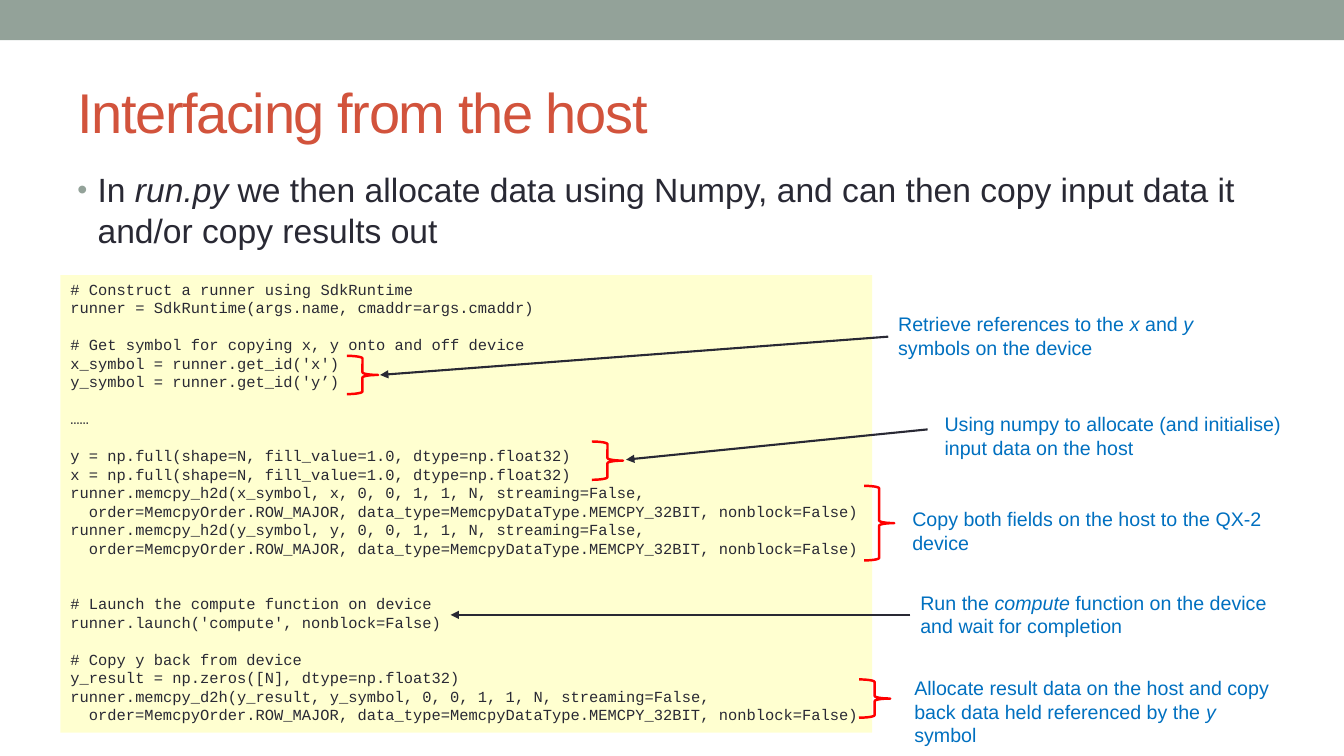
from pptx import Presentation
from pptx.dml.color import RGBColor
from pptx.enum.shapes import MSO_CONNECTOR as Connector, MSO_SHAPE as Shape
from pptx.enum.text import MSO_ANCHOR as Anchor, PP_ALIGN as Align
from pptx.oxml import parse_xml
from pptx.oxml.ns import nsdecls, qn
from pptx.util import Pt

PX = 9144  # EMU per px, 100 px to the inch
LINE_PITCH = 1.2

SAGE = RGBColor(0x93, 0xA2, 0x99)
RUST = RGBColor(0xD2, 0x53, 0x3C)
INK = RGBColor(0x29, 0x29, 0x34)
YELLOW = RGBColor(0xFF, 0xFF, 0x66)
BLUE = RGBColor(0x00, 0x70, 0xC0)
RED = RGBColor(0xFF, 0x00, 0x00)

# Each block is (blank lines before it, its lines).
CODE_BLOCKS = [
    (0, ["# Construct a runner using SdkRuntime",
         "runner = SdkRuntime(args.name, cmaddr=args.cmaddr)"]),
    (1, ["# Get symbol for copying x, y onto and off device",
         "x_symbol = runner.get_id('x')",
         "y_symbol = runner.get_id('y’)"]),
    (1, ["……"]),
    (1, ["y = np.full(shape=N, fill_value=1.0, dtype=np.float32)",
         "x = np.full(shape=N, fill_value=1.0, dtype=np.float32)",
         "runner.memcpy_h2d(x_symbol, x, 0, 0, 1, 1, N, streaming=False,",
         "order=MemcpyOrder.ROW_MAJOR, data_type=MemcpyDataType.MEMCPY_32BIT, nonblock=False)",
         "runner.memcpy_h2d(y_symbol, y, 0, 0, 1, 1, N, streaming=False,",
         "order=MemcpyOrder.ROW_MAJOR, data_type=MemcpyDataType.MEMCPY_32BIT, nonblock=False)"]),
    (2, ["# Launch the compute function on device",
         "runner.launch('compute', nonblock=False)"]),
    (1, ["# Copy y back from device",
         "y_result = np.zeros([N], dtype=np.float32)",
         "runner.memcpy_d2h(y_result, y_symbol, 0, 0, 1, 1, N, streaming=False,",
         "order=MemcpyOrder.ROW_MAJOR, data_type=MemcpyDataType.MEMCPY_32BIT, nonblock=False)"]),
]

# Places are px from the top left of the code panel; *stars* mark italics.
ANNOTATIONS = [
    dict(note="Retrieve references to the *x* and *y* symbols on the device",
         at=(821, 32), brace=(284, 80, 31, 38), arrow=((821, 61), (317, 99))),
    dict(note="Using numpy to allocate (and initialise) input data on the host",
         at=(867, 131), brace=(527, 165, 31, 38), arrow=((860, 153), (561, 183))),
    dict(note="Copy both fields on the host to the QX-2 device",
         at=(835, 225), brace=(797, 209, 30, 74)),
    dict(note="Run the *compute* function on the device and wait for completion",
         at=(843, 308), arrow=((843, 337), (387, 337))),
    dict(note="Allocate result data on the host and copy back data held referenced by the *y* symbol",
         at=(837, 393), brace=(792, 401, 31, 38)),
]


def px(*lengths):
    return [length * PX for length in lengths]


def write(paragraph, text, size, color, font="Arial"):
    """Fill a paragraph, setting the parts between stars in italics."""
    paragraph.alignment = Align.LEFT
    paragraph.line_spacing = Pt(size * LINE_PITCH)
    for i, part in enumerate(text.split("*")):
        run = paragraph.add_run()
        run.text = part
        style = {"name": font, "size": Pt(size), "italic": i % 2 == 1}
        for attribute, value in style.items():
            setattr(run.font, attribute, value)
        run.font.color.rgb = color


def add_text(slide, box, text, size, color, anchor=Anchor.TOP):
    frame = slide.shapes.add_textbox(*px(*box)).text_frame
    frame.word_wrap = True
    frame.vertical_anchor = anchor
    write(frame.paragraphs[0], text, size, color)
    return frame.paragraphs[0]


def add_panel(slide, box, color):
    """Add a filled rectangle without an outline."""
    panel = slide.shapes.add_shape(Shape.RECTANGLE, *px(*box))
    panel.shadow.inherit = False
    panel.fill.solid()
    panel.fill.fore_color.rgb = color
    panel.line.fill.background()
    return panel


def add_title(slide, box):
    title = add_text(slide, box, "Interfacing from the host", 40, RUST, Anchor.MIDDLE)
    title.runs[0].font._element.set("spc", "-100")


def add_bullet(slide, box):
    bullet = add_text(
        slide, box,
        "In *run.py *we then allocate data using Numpy, and can then copy input data it and/or copy results out",
        24, INK)
    bullet.space_before = Pt(2)
    properties = bullet._p.get_or_add_pPr()
    properties.set("marL", str(20 * PX))
    properties.set("indent", str(-20 * PX))
    for mark in (f'<a:buClr {nsdecls("a")}><a:srgbClr val="{SAGE}"/></a:buClr>',
                 f'<a:buSzPct {nsdecls("a")} val="85000"/>',
                 f'<a:buFont {nsdecls("a")} typeface="Arial"/>',
                 f'<a:buChar {nsdecls("a")} char="•"/>'):
        properties.append(parse_xml(mark))


def add_code(slide, box, size=11):
    panel = add_panel(slide, box, YELLOW)
    tint = panel.fill._xPr.find(qn("a:solidFill"))[0]
    tint.append(parse_xml(f'<a:alpha {nsdecls("a")} val="30000"/>'))
    frame = panel.text_frame
    frame.word_wrap = True
    frame.vertical_anchor = Anchor.TOP
    paragraph = frame.paragraphs[0]
    for gap, lines in CODE_BLOCKS:
        for i, line in enumerate(lines):
            if paragraph.runs:
                paragraph = frame.add_paragraph()
            write(paragraph, line, size, INK, "Courier New")
            if i == 0:
                paragraph.space_before = Pt(gap * size * LINE_PITCH)
            if line.startswith("order="):
                two_characters = Pt(2 * 0.6 * size)
                paragraph._p.get_or_add_pPr().set("marL", str(two_characters))


def add_brace(slide, box):
    brace = slide.shapes.add_shape(Shape.RIGHT_BRACE, *px(*box))
    brace.shadow.inherit = False
    brace.fill.background()
    brace.line.color.rgb = RED
    brace.line.width = Pt(1.75)


def add_arrow(slide, start, end):
    arrow = slide.shapes.add_connector(Connector.STRAIGHT, *px(*start, *end))
    arrow.line.color.rgb = INK
    arrow.line.width = Pt(1.5)
    arrow.line._get_or_add_ln().append(
        parse_xml(f'<a:tailEnd {nsdecls("a")} type="triangle"/>'))
    arrow._element.spPr.append(parse_xml(f'<a:effectLst {nsdecls("a")}/>'))


def add_annotation(slide, box, note, at, brace=None, arrow=None):
    """Explain a part of the code panel that fills box."""
    left, top = box[:2]
    add_text(slide, (left + at[0], top + at[1], 386, 57), note, 14, BLUE)
    if brace:
        x, y, width, height = brace
        add_brace(slide, (left + x, top + y, width, height))
    if arrow:
        add_arrow(slide, *[(left + x, top + y) for x, y in arrow])


def main():
    deck = Presentation()
    deck.slide_width, deck.slide_height = px(1333, 750)
    slide = deck.slides.add_slide(deck.slide_layouts[6])
    add_panel(slide, (0, 0, 1333, 40), SAGE)
    add_title(slide, (67, 58, 1200, 104))
    add_bullet(slide, (67, 163, 1200, 143))
    code_box = (60, 273, 805, 454)
    add_code(slide, code_box)
    for annotation in ANNOTATIONS:
        add_annotation(slide, code_box, **annotation)
    deck.save("out.pptx")


if __name__ == "__main__":
    main()
